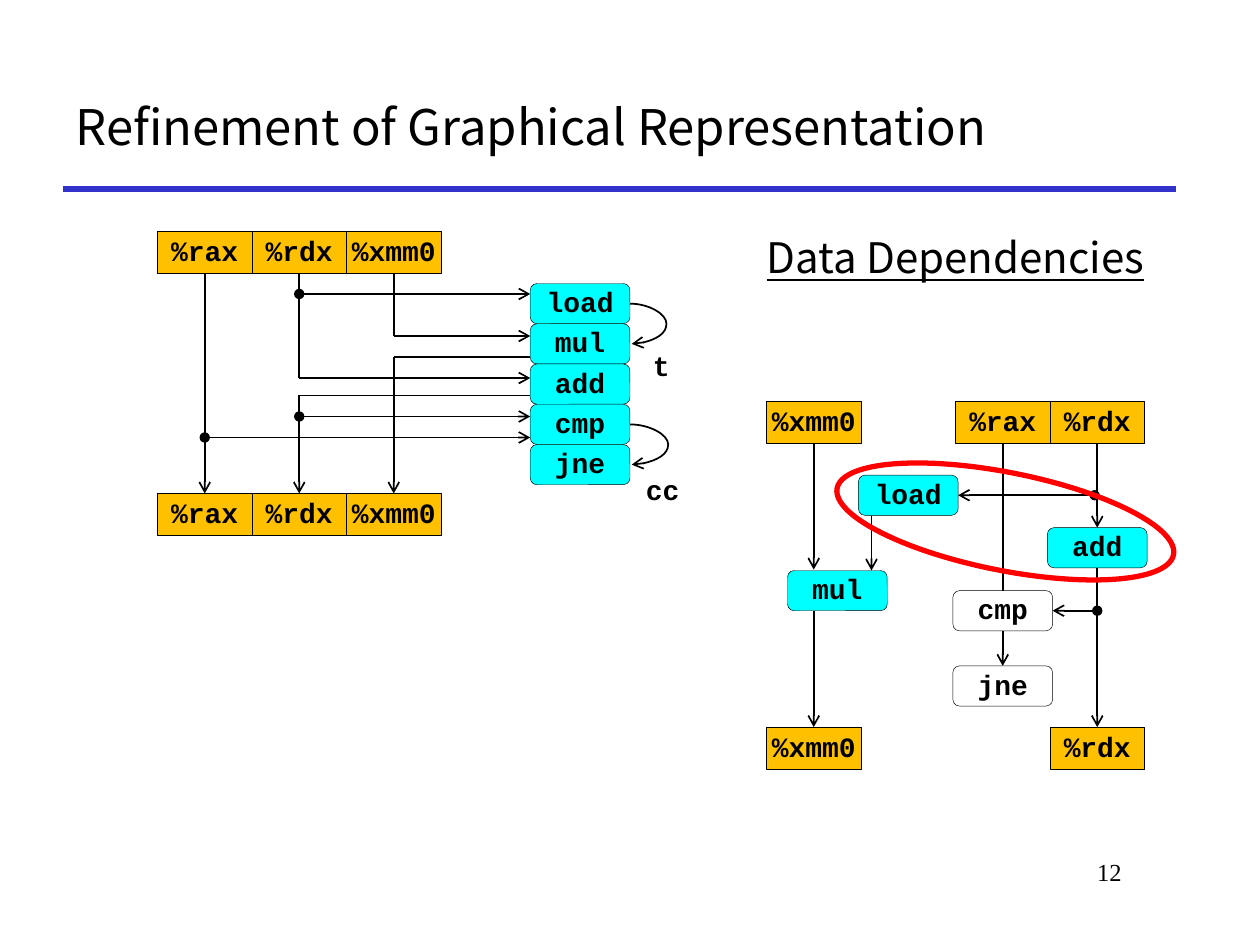
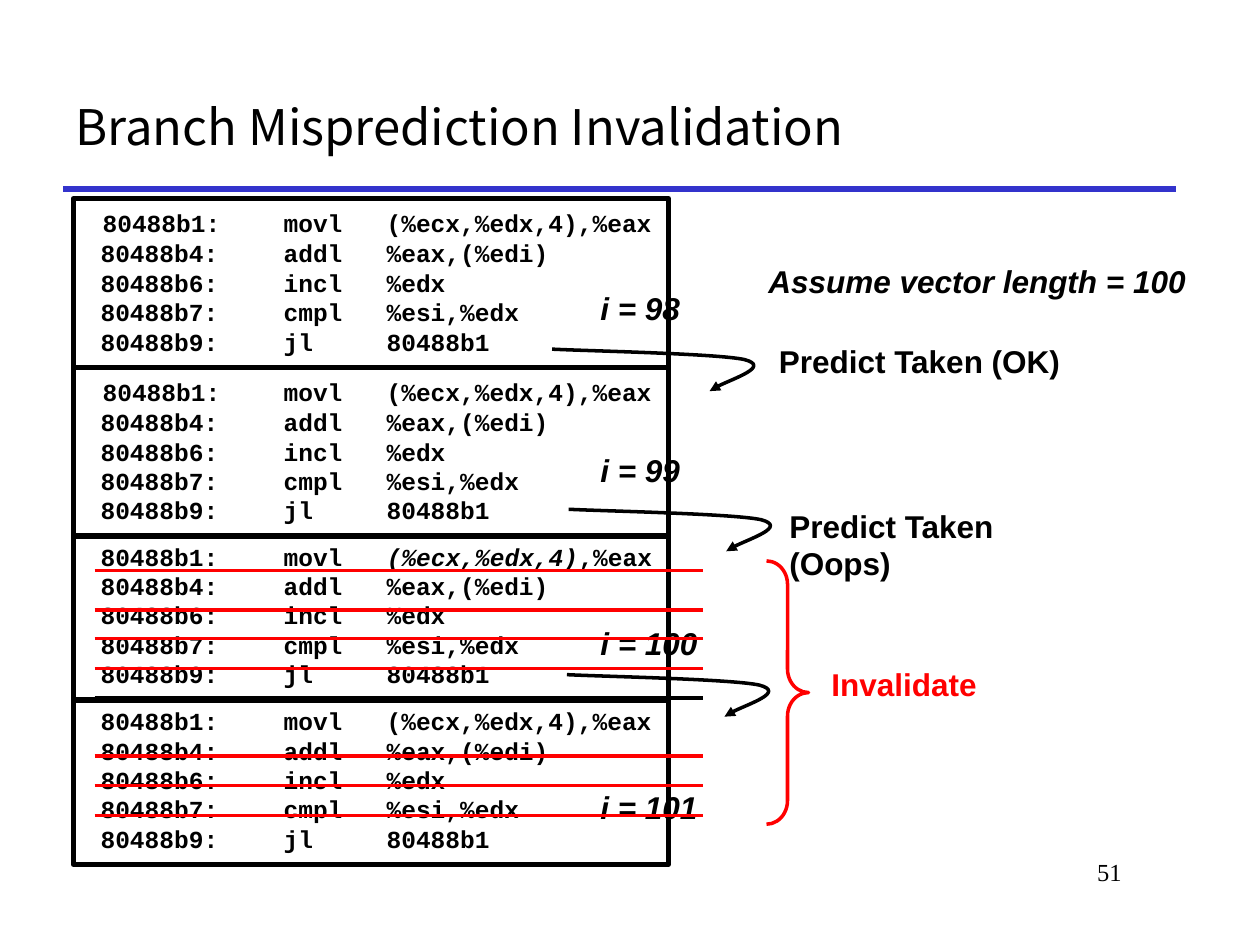
from lxml import etree
from pptx import Presentation
from pptx import util as u
from pptx.dml.color import RGBColor
from pptx.enum import shapes, text
from pptx.oxml import ns

Pt = u.Pt
KIND = shapes.MSO_SHAPE
LINK = shapes.MSO_CONNECTOR
ALIGN = text.PP_ALIGN
ANCHOR = text.MSO_ANCHOR
FIT = text.MSO_AUTO_SIZE

BLACK, WHITE, RED = "000000", "FFFFFF", "FF0000"
BLUE, GOLD, CYAN = "3333CC", "FFC000", "00FFFF"
SANS, MONO = "Arial", "Courier New"
HEAD, SERIF = "Noto Sans CJK KR", "Times New Roman"
REG_W, REG_H = 54, 24
OP_W, OP_H = 57, 23
SWOOP = [(18.5, 1), (94.5, 2.5), (110, 6), (125, 10), (94.5, 20), (90, 24)]
BODY = [
    " 80488b4:\taddl   %eax,(%edi)",
    " 80488b6:\tincl   %edx",
    " 80488b7:\tcmpl   %esi,%edx",
    " 80488b9:\tjl     80488b1",
]


def color(code):
    return RGBColor.from_string(code)


def add(parent, tag, **attrs):
    return etree.SubElement(parent, ns.qn(tag), attrs)


class Deck:
    def __init__(self):
        self.prs = Presentation()
        self.prs.slide_width = Pt(720)
        self.prs.slide_height = Pt(540)
        self.slide = None

    def page(self, title, number):
        self.slide = self.prs.slides.add_slide(self.prs.slide_layouts[5])
        self.line(36, 108, 672, 108, BLUE, 3)
        name = self.slide.shapes.title
        name.left, name.top, name.width, name.height = map(Pt, (36, 36, 636, 72))
        frame = name.text_frame
        frame.text = title
        frame.auto_size = FIT.NONE
        frame.vertical_anchor = ANCHOR.MIDDLE
        frame.paragraphs[0].alignment = ALIGN.LEFT
        self.font(frame.paragraphs[0], HEAD, 28)
        self.label(546, 486, 102, 36, number, SERIF, 14, align=ALIGN.RIGHT, wrap=True)

    def font(self, para, face, size, tint=BLACK, bold=False, italic=False, under=False):
        font = para.font
        font.name, font.size, font.bold = face, Pt(size), bold
        font.italic, font.underline = italic, under
        font.color.rgb = color(tint)

    def label(self, x, y, w, h, words, face=SANS, size=18, align=ALIGN.LEFT,
              space=1.0, wrap=False, **look):
        frame = self.slide.shapes.add_textbox(*map(Pt, (x, y, w, h))).text_frame
        frame.word_wrap = wrap
        frame.text = words
        for para in frame.paragraphs:
            para.alignment = align
            para.line_spacing = space
            self.font(para, face, size, **look)

    def shape(self, kind, x, y, w, h, fill=None, tint=BLACK, width=0.25):
        item = self.slide.shapes.add_shape(kind, *map(Pt, (x, y, w, h)))
        item.shadow.inherit = False
        self.style(item, tint, width)
        if fill:
            item.fill.solid()
            item.fill.fore_color.rgb = color(fill)
        else:
            item.fill.background()
        return item

    def style(self, item, tint, width, head=None, tail=None):
        item.line.color.rgb = color(tint)
        item.line.width = Pt(width)
        ln = item.line._get_or_add_ln()
        for tag, kind in (("a:headEnd", head), ("a:tailEnd", tail)):
            if kind:
                add(ln, tag, type=kind)

    def box(self, kind, x, y, w, h, word, fill):
        item = self.shape(kind, x, y, w, h, fill)
        frame = item.text_frame
        frame.margin_left = frame.margin_right = 0
        frame.margin_top = frame.margin_bottom = 0
        frame.vertical_anchor = ANCHOR.MIDDLE
        frame.word_wrap = True
        frame.text = word
        para = frame.paragraphs[0]
        para.alignment = ALIGN.CENTER
        para.line_spacing = 0.9
        self.font(para, MONO, 16, bold=True)

    def reg(self, x, y, word):
        self.box(KIND.RECTANGLE, x, y, REG_W, REG_H, word, GOLD)

    def op(self, x, y, word, fill=CYAN):
        self.box(KIND.ROUNDED_RECTANGLE, x, y, OP_W, OP_H, word, fill)

    def line(self, x, y, to_x, to_y, tint=BLACK, width=1, head=None, tail=None,
             kind=LINK.STRAIGHT):
        item = self.slide.shapes.add_connector(kind, *map(Pt, (x, y, to_x, to_y)))
        self.style(item, tint, width, head, tail)
        add(item._element.spPr, "a:effectLst")
        return item

    def arc(self, x, y, bulge):
        item = self.line(x, y, x + 1, y + OP_H, tail="arrow", kind=LINK.CURVE)
        geom = item._element.spPr.find(ns.qn("a:prstGeom"))
        guides = geom.find(ns.qn("a:avLst"))
        add(guides, "a:gd", name="adj1", fmla=f"val {bulge * 100000}")

    def swoop(self, x, y):
        form = self.slide.shapes.build_freeform(Pt(x), Pt(y))
        form.add_line_segments([(Pt(x + dx), Pt(y + dy)) for dx, dy in SWOOP], close=False)
        item = form.convert_to_shape()
        item.shadow.inherit = False
        item.fill.background()
        self.style(item, BLACK, 2, tail="triangle")
        steps = list(item._element.iter(ns.qn("a:lnTo")))
        track = steps[0].getparent()
        for at in range(0, len(steps), 3):
            curve = add(track, "a:cubicBezTo")
            for step in steps[at:at + 3]:
                curve.append(step[0])
                track.remove(step)

    def code(self, y, h, first):
        item = self.shape(KIND.RECTANGLE, 42, y, 340, h, width=3)
        frame = item.text_frame
        frame.word_wrap = False
        frame.vertical_anchor = ANCHOR.TOP
        frame.text = "\n".join([""] + BODY)
        for words, size, italic in first:
            run = frame.paragraphs[0].add_run()
            run.text = words
            run.font.size, run.font.italic = Pt(size), italic
        for para in frame.paragraphs:
            para.alignment = ALIGN.LEFT
            tabs = add(para._p.get_or_add_pPr(), "a:tabLst")
            add(tabs, "a:tab", pos=str(Pt(113)), algn="l")
            self.font(para, MONO, 14, bold=True)


def graph(deck):
    deck.page("Refinement of Graphical Representation", "12")
    deck.label(402, 132, 288, 34, "Data Dependencies", HEAD, 24,
               align=ALIGN.CENTER, space=0.9, wrap=True, under=True)

    top, end = 229.5, 415.5
    xmm, rax, rdx = 465, 573, 627
    for x, y, word in [(xmm, top, "%xmm0"), (rax, top, "%rax"), (rdx, top, "%rdx"),
                       (xmm, end, "%xmm0"), (rdx, end, "%rdx")]:
        deck.reg(x - REG_W / 2, y, word)
    for x, y, word, fill in [(490.5, 271.5, "load", CYAN), (450, 326, "mul", CYAN),
                             (598.5, 301.5, "add", CYAN), (544.5, 337.5, "cmp", WHITE),
                             (544.5, 380.5, "jne", WHITE)]:
        deck.op(x, y, word, fill)
    low = top + REG_H
    deck.line(rax, low, rax, 337.5)
    for x, y, to_y in [(xmm, low, 325.5), (xmm, 349, end), (rdx, low, 301.5),
                       (rdx, 324.5, end), (rax, 360.5, 380.5), (498, 295, 326)]:
        deck.line(x, y, x, to_y, tail="arrow")
    deck.line(rdx, 349, 601.5, 349, head="oval", tail="arrow")
    deck.line(625.5, 283, 547.5, 283, head="oval", tail="arrow")

    top, end = 132, 282
    for at, word in enumerate(["%rax", "%rdx", "%xmm0"]):
        for y in (top, end):
            deck.reg(90 + at * REG_W, y, word)
    ops = 303
    for at, word in enumerate(["load", "mul", "add", "cmp", "jne"]):
        deck.op(ops, 162 + at * OP_H, word)
    rax, rdx, xmm = (117 + at * REG_W for at in range(3))
    low = top + REG_H
    for x, y, to_y, tail in [(rax, low, end, "arrow"), (rdx, low, 216, None),
                             (rdx, 226, end, "arrow"), (xmm, low, 192, None),
                             (xmm, 204, end, "arrow")]:
        deck.line(x, y, x, to_y, tail=tail)
    for x, y, head, tail in [(rdx, 168, "oval", "arrow"), (xmm, 192, None, "arrow"),
                             (xmm, 204, None, None), (rdx, 216, None, "arrow"),
                             (rdx, 226, None, None), (rdx, 238, "oval", "arrow"),
                             (rax, 250, "oval", "arrow")]:
        deck.line(x, y, ops, y, head=head, tail=tail)
    deck.arc(360, 173.5, 21)
    deck.arc(360, 242.5, 22)
    deck.label(366, 198, 24.5, 25, "t", MONO, 16, space=0.9, bold=True)
    deck.label(362, 268.5, 34, 25, "cc", MONO, 16, space=0.9, bold=True)
    ring = deck.shape(KIND.OVAL, 476.5, 270, 196, 56, tint=RED, width=3)
    ring.rotation = 11.2


def branch(deck):
    deck.page("Branch Misprediction Invalidation", "51")
    start, args, rest = "80488b1:\tmovl   ", "(%ecx,%edx,4)", ",%eax"
    whole = start + args + rest
    wide = [(" ", 16, False), (whole, 14, False)]
    mixed = [(" " + start, 14, False), (args, 14, True), (rest, 14, False)]
    plain = [(" " + whole, 14, False)]
    for y, h, first in [(113.5, 96.5, wide), (210, 96.5, wide),
                        (306, 94, mixed), (400, 94, plain)]:
        deck.code(y, h, first)
    for x, y in [(315.5, 199.5), (325, 291), (324, 385.5)]:
        deck.swoop(x, y)
    for count, y, w in [(98, 161.5, 60), (99, 254, 60), (100, 353, 70), (101, 447, 70)]:
        deck.label(336, y, w, 29, f"i = {count}", bold=True, italic=True)
    deck.label(432, 146, 253, 29, "Assume vector length = 100", bold=True, italic=True)
    deck.label(438, 192, 176, 29, "Predict Taken (OK)", bold=True)
    deck.label(444, 286, 132.5, 50.5, "Predict Taken\n(Oops)", bold=True)
    deck.label(468, 376.5, 98.5, 29, "Invalidate", tint=RED, bold=True)
    for y in (326, 348.5, 365, 382, 399, 432, 449, 466):
        deck.line(54, y, 402, y, BLACK if y == 399 else RED, 2)
    brace = deck.shape(KIND.RIGHT_BRACE, 438, 320.5, 24, 150.5, tint=RED, width=2)
    brace.adjustments[0] = 0.56


def main():
    deck = Deck()
    graph(deck)
    branch(deck)
    deck.prs.save("out.pptx")


if __name__ == "__main__":
    main()
